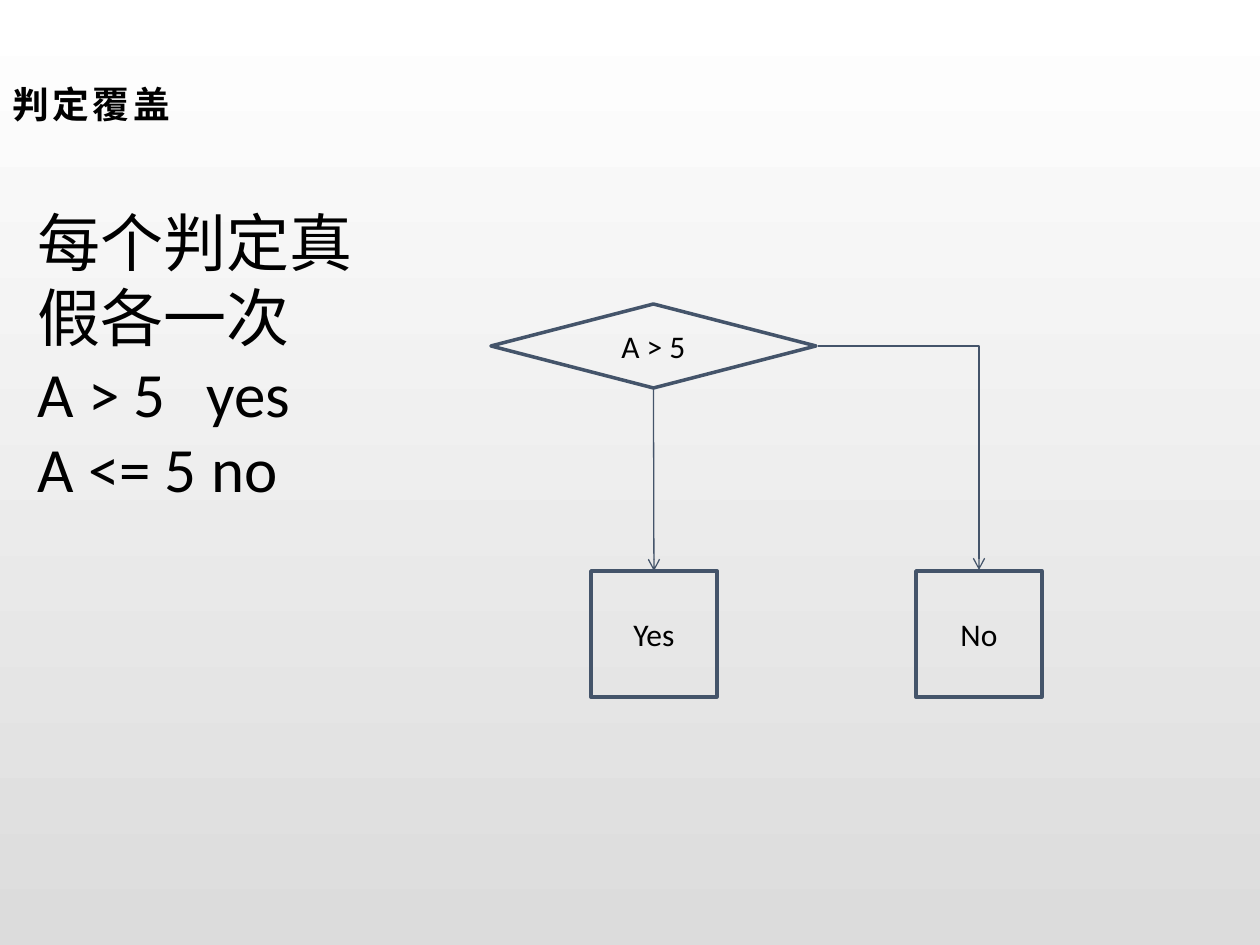
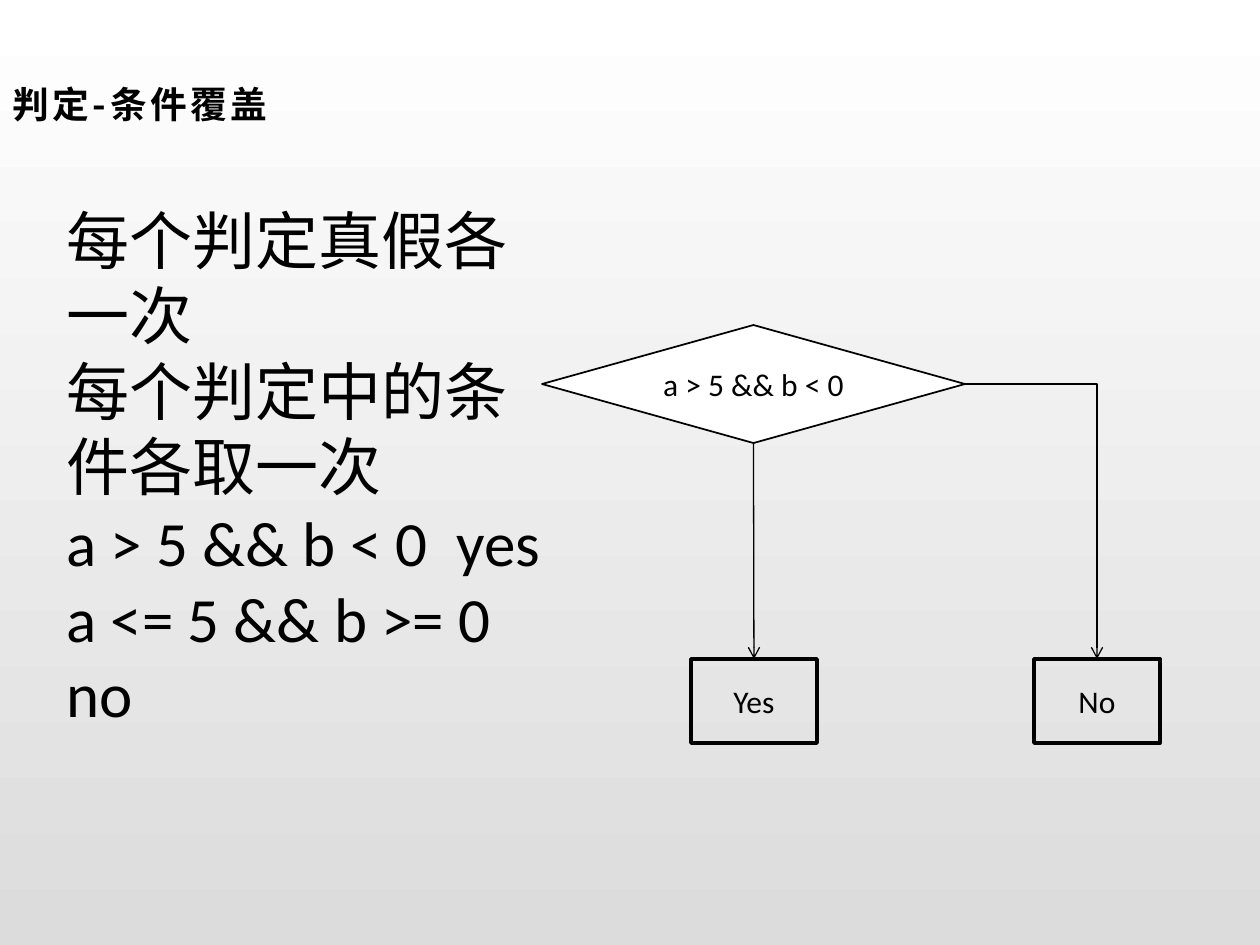
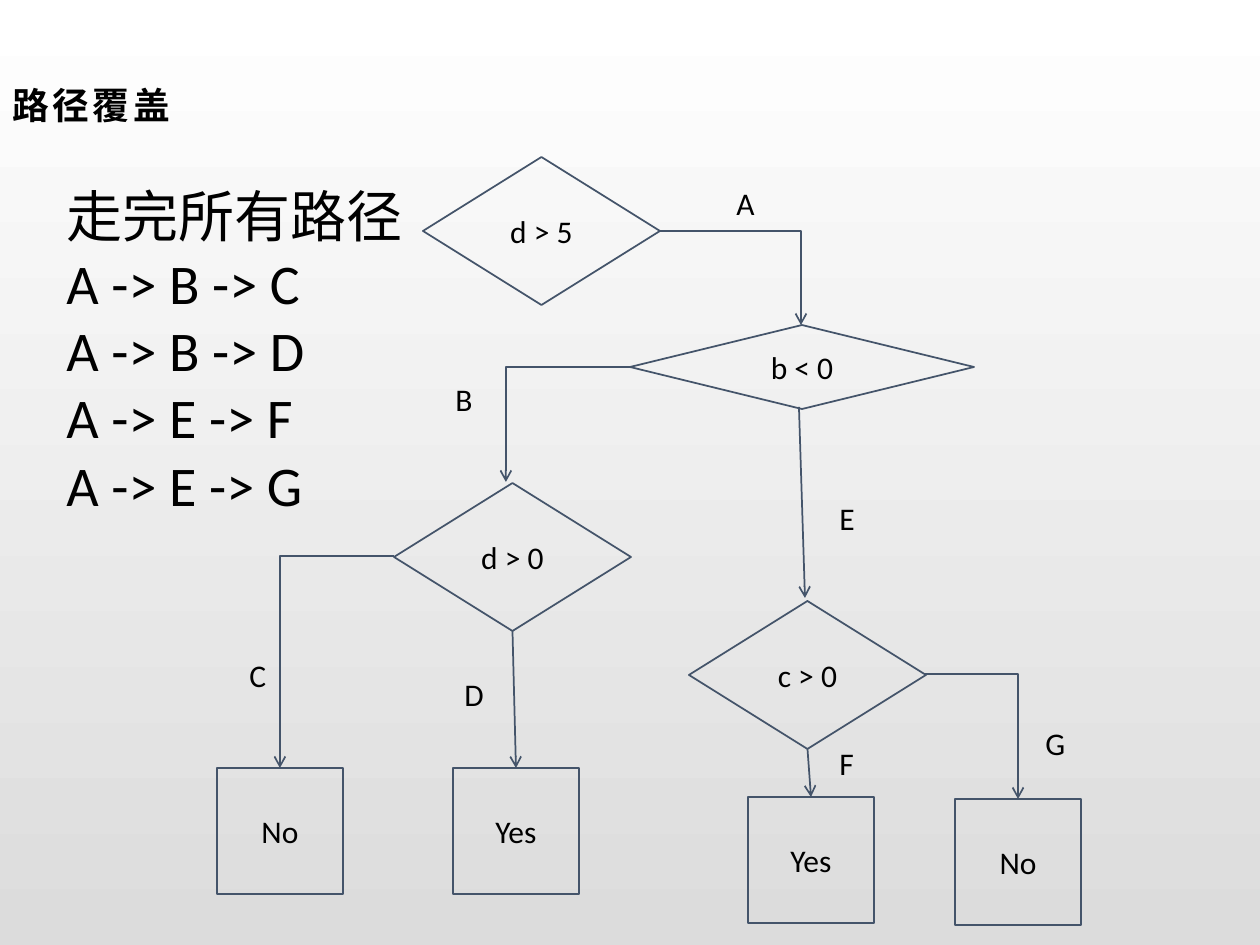
"""Build three slides on decision, condition and path coverage."""
from lxml.etree import SubElement
from pptx import Presentation
from pptx.dml.color import RGBColor
from pptx.enum.lang import MSO_LANGUAGE_ID as Language
from pptx.enum.shapes import MSO_CONNECTOR as Connector, MSO_SHAPE as Shape
from pptx.enum.text import MSO_ANCHOR as Anchor, MSO_AUTO_SIZE as AutoSize, PP_ALIGN as Align
from pptx.oxml.ns import qn
from pptx.util import Pt

SCALE = 914400 / 126
BLACK, WHITE, GREY, SLATE = "000000", "FFFFFF", "DCDCDC", "44546A"
BODY_FONT, TITLE_FONT = "Calibri", "Noto Sans CJK SC"
TOP, BOTTOM = 0, 2
DECISION, BOX, PROCESS = Shape.FLOWCHART_DECISION, Shape.RECTANGLE, Shape.FLOWCHART_PROCESS


def px(*lengths):
    return [round(length * SCALE) for length in lengths]


def write(frame, lines, size, align=Align.LEFT, font=BODY_FONT, bold=False, tab=0):
    for index, line in enumerate(lines):
        paragraph = frame.paragraphs[0] if index == 0 else frame.add_paragraph()
        paragraph.alignment = align
        if "\t" in line:
            tabs = SubElement(paragraph._p.get_or_add_pPr(), qn("a:tabLst"))
            SubElement(tabs, qn("a:tab"), pos=str(px(tab)[0]), algn="l")
        run = paragraph.add_run()
        run.text = line
        run.font.size = Pt(size)
        run.font.bold = bold
        run.font.name = font
        run.font.language_id = Language.SIMPLIFIED_CHINESE
        run.font.color.rgb = RGBColor.from_string(BLACK)
        properties = run._r.get_or_add_rPr()
        SubElement(properties, qn("a:ea"), typeface=font)
        if font == TITLE_FONT:
            properties.set("spc", "200")


SLIDES = [
    dict(
        title="判定覆盖", title_area=(0, 59, 1121, 89),
        body=["每个判定真假各一次", "A > 5\tyes", "A <= 5 no"],
        body_area=(25, 197, 389, 391), body_size=36, body_wrap=True, tab=169,
        color=SLATE, decision_fill=None, decision_line=2, box_line=2, arrow_line=0.75,
        nodes=[
            ("decision", DECISION, "A > 5", (491, 304, 325, 84)),
            ("no", BOX, "No", (916, 571, 126, 126)),
            ("yes", BOX, "Yes", (591, 571, 126, 126)),
        ],
        joins=[("decision", "yes")],
        straights=[],
        elbows=[(818, 346, 979, 570)],
        labels=[],
    ),
    dict(
        title="判定-条件覆盖", title_area=(0, 59, 1121, 89),
        body=["每个判定真假各一次", "每个判定中的条件各取一次",
              "a > 5 && b < 0\tyes", "a <= 5 && b >= 0 no"],
        body_area=(54, 195, 525, 619), body_size=36, body_wrap=True, tab=390,
        color=BLACK, decision_fill=WHITE, decision_line=1, box_line=2, arrow_line=0.75,
        nodes=[
            ("decision", DECISION, "a > 5 && b < 0", (542, 325, 423, 118)),
            ("yes", PROCESS, "Yes", (691, 659, 126, 84)),
            ("no", PROCESS, "No", (1034, 659, 126, 84)),
        ],
        joins=[("decision", "yes")],
        straights=[],
        elbows=[(965, 384, 1097, 659)],
        labels=[],
    ),
    dict(
        title="路径覆盖", title_area=(0, 26, 1134, 158),
        body=["走完所有路径", "A -> B -> C", "A -> B -> D", "A -> E -> F", "A -> E -> G"],
        body_area=(54, 175, 362, 349), body_size=32, body_wrap=False, tab=0,
        color=SLATE, decision_fill=None, decision_line=1, box_line=1, arrow_line=1,
        nodes=[
            ("first d", DECISION, "d > 5", (423, 157, 237, 148)),
            ("b", DECISION, "b < 0", (630, 325, 344, 84)),
            ("second d", DECISION, "d > 0", (394, 483, 237, 148)),
            ("c", DECISION, "c > 0", (689, 601, 237, 148)),
            ("d no", BOX, "No", (217, 768, 126, 126)),
            ("d yes", BOX, "Yes", (453, 768, 126, 126)),
            ("c yes", BOX, "Yes", (748, 797, 126, 126)),
            ("c no", BOX, "No", (955, 799, 126, 126)),
        ],
        joins=[("second d", "d yes"), ("c", "c yes")],
        straights=[(799, 407, 805, 598)],
        elbows=[(660, 231, 801, 325), (630, 367, 506, 482),
                (394, 556, 280, 768), (925, 674, 1018, 799)],
        labels=[("A", 724, 178, 47), ("B", 443, 374, 47), ("C", 237, 650, 48),
                ("D", 452, 669, 48), ("E", 827, 493, 47), ("F", 827, 738, 44),
                ("G", 1033, 718, 50)],
    ),
]

presentation = Presentation()
presentation.slide_width, presentation.slide_height = px(1260, 945)
background = presentation.slide_master.background.fill
background.gradient()
background.gradient_angle = 270
for stop, color in zip(background.gradient_stops, (WHITE, GREY)):
    stop.color.rgb = RGBColor.from_string(color)

for content in SLIDES:
    slide = presentation.slides.add_slide(presentation.slide_layouts[6])
    line_color = RGBColor.from_string(content["color"])

    title = slide.shapes.add_textbox(*px(*content["title_area"])).text_frame
    title.word_wrap = True
    title.vertical_anchor = Anchor.MIDDLE
    write(title, [content["title"]], 21, font=TITLE_FONT, bold=True)

    nodes = {}
    for name, kind, caption, area in content["nodes"]:
        shape = slide.shapes.add_shape(kind, *px(*area))
        shape.shadow.inherit = False
        if kind == DECISION and content["decision_fill"]:
            shape.fill.solid()
            shape.fill.fore_color.rgb = RGBColor.from_string(content["decision_fill"])
        else:
            shape.fill.background()
        shape.line.color.rgb = line_color
        shape.line.width = Pt(content["decision_line" if kind == DECISION else "box_line"])
        shape.text_frame.vertical_anchor = Anchor.MIDDLE
        write(shape.text_frame, [caption], 18, align=Align.CENTER)
        nodes[name] = shape

    arrows = []
    for start, end in content["joins"]:
        arrow = slide.shapes.add_connector(Connector.STRAIGHT, 0, 0, 0, 0)
        arrow.begin_connect(nodes[start], BOTTOM)
        arrow.end_connect(nodes[end], TOP)
        arrows.append(arrow)
    for ends in content["straights"]:
        arrows.append(slide.shapes.add_connector(Connector.STRAIGHT, *px(*ends)))
    for ends in content["elbows"]:
        arrow = slide.shapes.add_connector(Connector.ELBOW, *px(*ends))
        arrow._element.spPr.find(qn("a:prstGeom")).set("prst", "bentConnector2")
        arrows.append(arrow)
    for arrow in arrows:
        arrow.line.color.rgb = line_color
        arrow.line.width = Pt(content["arrow_line"])
        properties = arrow._element.spPr
        SubElement(properties.find(qn("a:ln")), qn("a:tailEnd"), type="arrow")
        SubElement(properties, qn("a:effectLst"))

    body = slide.shapes.add_textbox(*px(*content["body_area"])).text_frame
    body.word_wrap = content["body_wrap"]
    body.auto_size = AutoSize.SHAPE_TO_FIT_TEXT
    write(body, content["body"], content["body_size"], tab=content["tab"])

    for letter, left, top, width in content["labels"]:
        label = slide.shapes.add_textbox(*px(left, top, width, 50)).text_frame
        label.word_wrap = False
        label.auto_size = AutoSize.SHAPE_TO_FIT_TEXT
        write(label, [letter], 18)

presentation.save("out.pptx")
